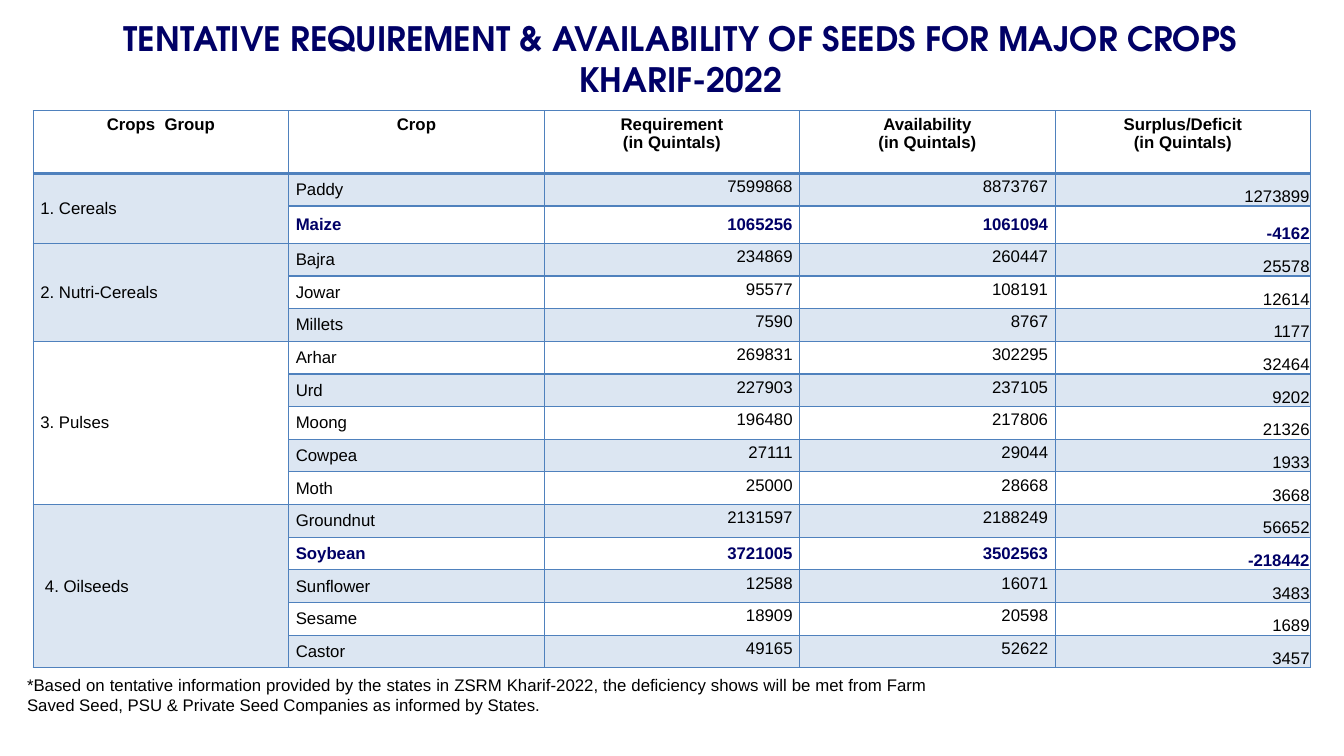
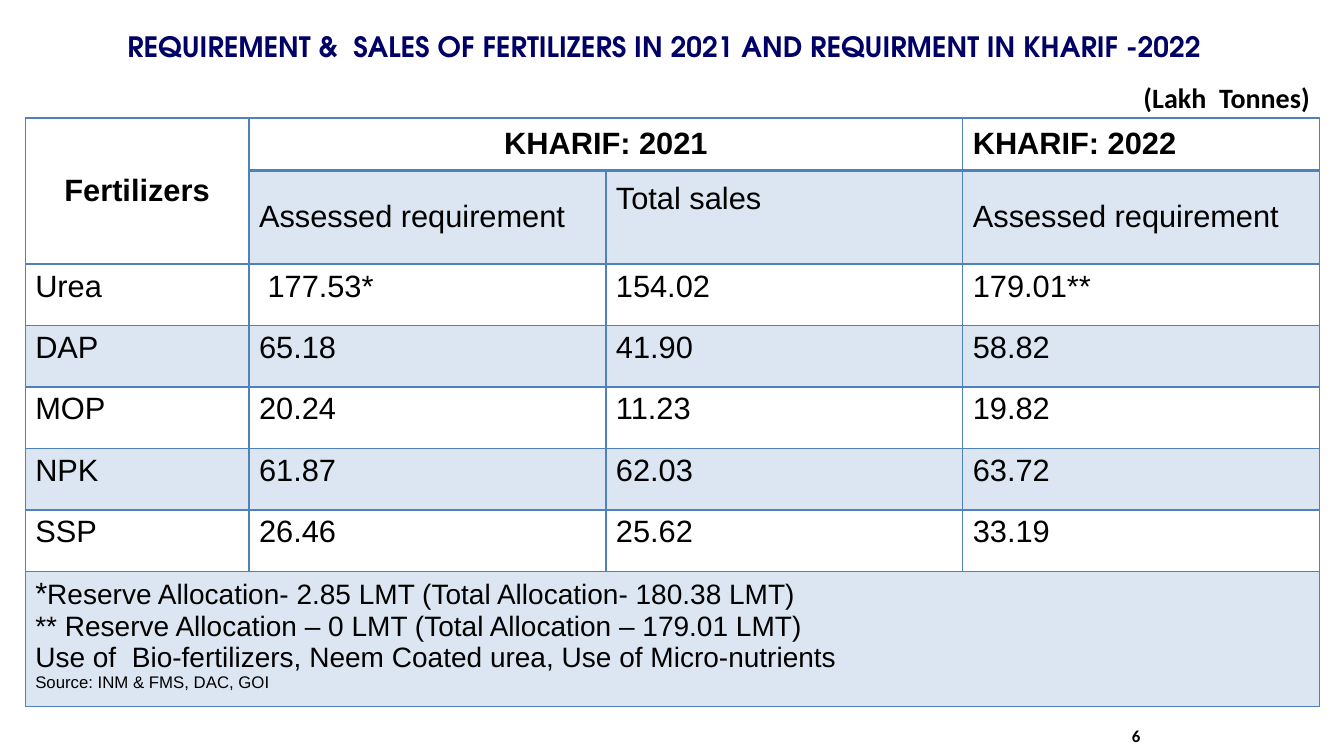
import pptx
import pptx.util
import pptx.dml.color
import pptx.enum.text
import pptx.oxml
import pptx.oxml.ns
from lxml import etree

ALIGN = pptx.enum.text.PP_ALIGN
ANCHOR = pptx.enum.text.MSO_ANCHOR
Inches = pptx.util.Inches

WIDTH, HEIGHT = 13.33, 7.5
NAVY, BLACK, WHITE, BAND, BORDER = "000066", "000000", "FFFFFF", "DCE6F2", "4F81BD"
TITLE = {"name": "TeX Gyre Adventor", "size": 24, "color": NAVY, "bold": True}
BODY = {"name": "Arial", "size": 12, "color": BLACK, "bold": False}
LABEL = {"name": "Calibri", "size": 20, "color": BLACK, "bold": True}
ALERT = BODY | {"color": NAVY, "bold": True}
GRID = BODY | {"size": 22}
SEED_INSET = (0.07, 0.04, 0.07, 0.04)
TIGHT_INSET = (0.01, 0.01, 0.01, 0)
GRID_INSET = (0.1, 0.05, 0.1, 0.05)

SEED_TITLE = "TENTATIVE REQUIREMENT & AVAILABILITY OF SEEDS FOR MAJOR CROPS KHARIF-2022"
SEED_HEADS = [
    ["Crops  Group"],
    ["Crop"],
    ["Requirement", "(in Quintals)"],
    ["Availability", "(in Quintals)"],
    ["Surplus/Deficit", "(in Quintals)"],
]
SEEDS = {
    "1. Cereals": [("Paddy", 7599868, 8873767), ("Maize", 1065256, 1061094)],
    "2. Nutri-Cereals": [
        ("Bajra", 234869, 260447),
        ("Jowar", 95577, 108191),
        ("Millets", 7590, 8767),
    ],
    "3. Pulses": [
        ("Arhar", 269831, 302295),
        ("Urd", 227903, 237105),
        ("Moong", 196480, 217806),
        ("Cowpea", 27111, 29044),
        ("Moth", 25000, 28668),
    ],
    " 4. Oilseeds": [
        ("Groundnut", 2131597, 2188249),
        ("Soybean", 3721005, 3502563),
        ("Sunflower", 12588, 16071),
        ("Sesame", 18909, 20598),
        ("Castor", 49165, 52622),
    ],
}
SEED_NOTE = (
    "*Based on tentative information provided by the states in ZSRM Kharif-2022, "
    "the deficiency shows will be met from Farm Saved Seed, PSU & Private Seed "
    "Companies as informed by States."
)

FERT_TITLE = "REQUIREMENT &  SALES OF FERTILIZERS IN 2021 AND REQUIRMENT IN KHARIF -2022"
FERT_UNIT = "(Lakh  Tonnes)"
FERT_HEADS = {0: "Fertilizers", 1: "KHARIF: 2021", 3: "KHARIF: 2022"}
FERT_SUBHEADS = ["Assessed requirement", "Total sales", "Assessed requirement"]
FERTILIZERS = [
    ("Urea", " 177.53*", "154.02", "179.01**"),
    ("DAP", "65.18", "41.90", "58.82"),
    ("MOP", "20.24", "11.23", "19.82"),
    ("NPK", "61.87", "62.03", "63.72"),
    ("SSP", "26.46", "25.62", "33.19"),
]
FERT_NOTES = [
    [("*", 22), ("Reserve Allocation- 2.85 LMT (Total Allocation- 180.38 LMT)", 20)],
    [("** Reserve Allocation – 0 LMT (Total Allocation – 179.01 LMT)", 20)],
    [("Use of  Bio-fertilizers, Neem Coated urea, Use of Micro-nutrients", 20)],
    [("Source: INM & FMS, DAC, GOI", 12)],
]
PAGE_NUMBER = "6"


def rgb(value):
    return pptx.dml.color.RGBColor.from_string(value)


def style(font, fmt):
    for key, value in fmt.items():
        if key == "color":
            font.color.rgb = rgb(value)
        else:
            setattr(font, key, pptx.util.Pt(value) if key == "size" else value)


def write(tf, paragraphs, fmt, align=ALIGN.LEFT):
    for i, runs in enumerate(paragraphs):
        p = tf.paragraphs[0] if i == 0 else tf.add_paragraph()
        p.alignment = align
        for text, size in [(runs, fmt["size"])] if isinstance(runs, str) else runs:
            r = p.add_run()
            r.text = text
            style(r.font, fmt | {"size": size})


def add_text(s, box, text, fmt, align=ALIGN.CENTER, anchor=ANCHOR.MIDDLE):
    tf = s.shapes.add_textbox(*map(Inches, box)).text_frame
    tf.word_wrap = True
    tf.vertical_anchor = anchor
    write(tf, [text], fmt, align)


def set_borders(cell, row):
    tcPr = cell._tc.get_or_add_tcPr()
    heavy = {0: "lnB", 1: "lnT"}.get(row)
    for i, side in enumerate(("lnL", "lnR", "lnT", "lnB")):
        ln = etree.Element(pptx.oxml.ns.qn("a:" + side))
        ln.set("w", str(pptx.util.Pt(2 if side == heavy else 1)))
        fill = etree.SubElement(ln, pptx.oxml.ns.qn("a:solidFill"))
        etree.SubElement(fill, pptx.oxml.ns.qn("a:srgbClr")).set("val", BORDER)
        tcPr.insert(i, ln)


def add_grid(s, left, top, widths, heights):
    size = (len(heights), len(widths))
    box = (left, top, sum(widths), sum(heights))
    table = s.shapes.add_table(*size, *map(Inches, box)).table
    table.first_row = table.horz_banding = False
    for column, width in zip(table.columns, widths):
        column.width = Inches(width)
    for i, (row, height) in enumerate(zip(table.rows, heights)):
        row.height = Inches(height)
        for cell in row.cells:
            cell.fill.solid()
            cell.fill.fore_color.rgb = rgb(BAND if i % 2 else WHITE)
            set_borders(cell, i)
    return table


def fill_cell(cell, paragraphs, fmt, inset, align=ALIGN.LEFT, anchor=ANCHOR.TOP):
    for side, value in zip(("left", "top", "right", "bottom"), inset):
        setattr(cell, "margin_" + side, Inches(value))
    cell.vertical_anchor = anchor
    write(cell.text_frame, paragraphs, fmt, align)


def seed_slide(s):
    add_text(s, (0.25, 0.16, 13, 0.84), SEED_TITLE, TITLE)
    crops = sum(map(len, SEEDS.values()))
    heights = [0.62] + [4.91 / crops] * crops
    heights[2] = 0.37
    for i in [1, *range(3, crops + 1)]:
        heights[i] = (4.91 - heights[2]) / (crops - 1)
    table = add_grid(s, 0.33, 1.1, [12.67 / 5] * 5, heights)
    for c, lines in enumerate(SEED_HEADS):
        fill_cell(table.cell(0, c), lines, BODY | {"bold": True}, SEED_INSET, ALIGN.CENTER)
    row = 1
    for group, members in SEEDS.items():
        first = table.cell(row, 0)
        first.merge(table.cell(row + len(members) - 1, 0))
        fill_cell(first, [group], BODY, SEED_INSET, anchor=ANCHOR.MIDDLE)
        for crop, need, stock in members:
            deficit = stock < need
            fmt = ALERT if deficit else BODY
            middle = ANCHOR.MIDDLE if deficit else ANCHOR.TOP
            fill_cell(table.cell(row, 1), [crop], fmt, SEED_INSET, anchor=ANCHOR.MIDDLE)
            for c, value in ((2, need), (3, stock)):
                fill_cell(table.cell(row, c), [str(value)], fmt, SEED_INSET, ALIGN.RIGHT, middle)
            fill_cell(table.cell(row, 4), [str(stock - need)], fmt, TIGHT_INSET,
                      ALIGN.RIGHT, ANCHOR.BOTTOM)
            row += 1
    add_text(s, (0.17, 6.64, 9.13, 0.5), SEED_NOTE, BODY, ALIGN.JUSTIFY)


def fertilizer_slide(s):
    heights = [0.52, 0.93] + [0.61] * len(FERTILIZERS) + [1.34]
    table = add_grid(s, 0.25, 1.17, [2.22] + [3.54] * 3, heights)
    last = len(heights) - 1
    for start, end in (((0, 0), (1, 0)), ((0, 1), (0, 2)), ((last, 0), (last, 3))):
        table.cell(*start).merge(table.cell(*end))
    for c, text in FERT_HEADS.items():
        fill_cell(table.cell(0, c), [text], GRID | {"bold": True}, GRID_INSET,
                  ALIGN.LEFT if c == 3 else ALIGN.CENTER, ANCHOR.MIDDLE)
    for c, text in enumerate(FERT_SUBHEADS, 1):
        inset = (0.1, 0.05, 0.1, 0.41) if c == 2 else GRID_INSET
        fill_cell(table.cell(1, c), [text], GRID, inset, anchor=ANCHOR.MIDDLE)
    for row, values in enumerate(FERTILIZERS, 2):
        for c, text in enumerate(values):
            fill_cell(table.cell(row, c), [text], GRID, GRID_INSET)
    fill_cell(table.cell(last, 0), FERT_NOTES, GRID, GRID_INSET)
    add_text(s, (0.09, 0.17, 13, 0.58), FERT_TITLE, TITLE | {"size": 20})
    add_text(s, (10.92, 0.75, 2.17, 0.44), FERT_UNIT, LABEL, ALIGN.RIGHT, ANCHOR.TOP)
    add_text(s, (9.08, 7.1, 2.33, 0.4), PAGE_NUMBER, LABEL | {"size": 12}, ALIGN.RIGHT)


def main():
    prs = pptx.Presentation()
    prs.slide_width, prs.slide_height = Inches(WIDTH), Inches(HEIGHT)
    for build in (seed_slide, fertilizer_slide):
        build(prs.slides.add_slide(prs.slide_layouts[6]))
    prs.save("out.pptx")


if __name__ == "__main__":
    main()
